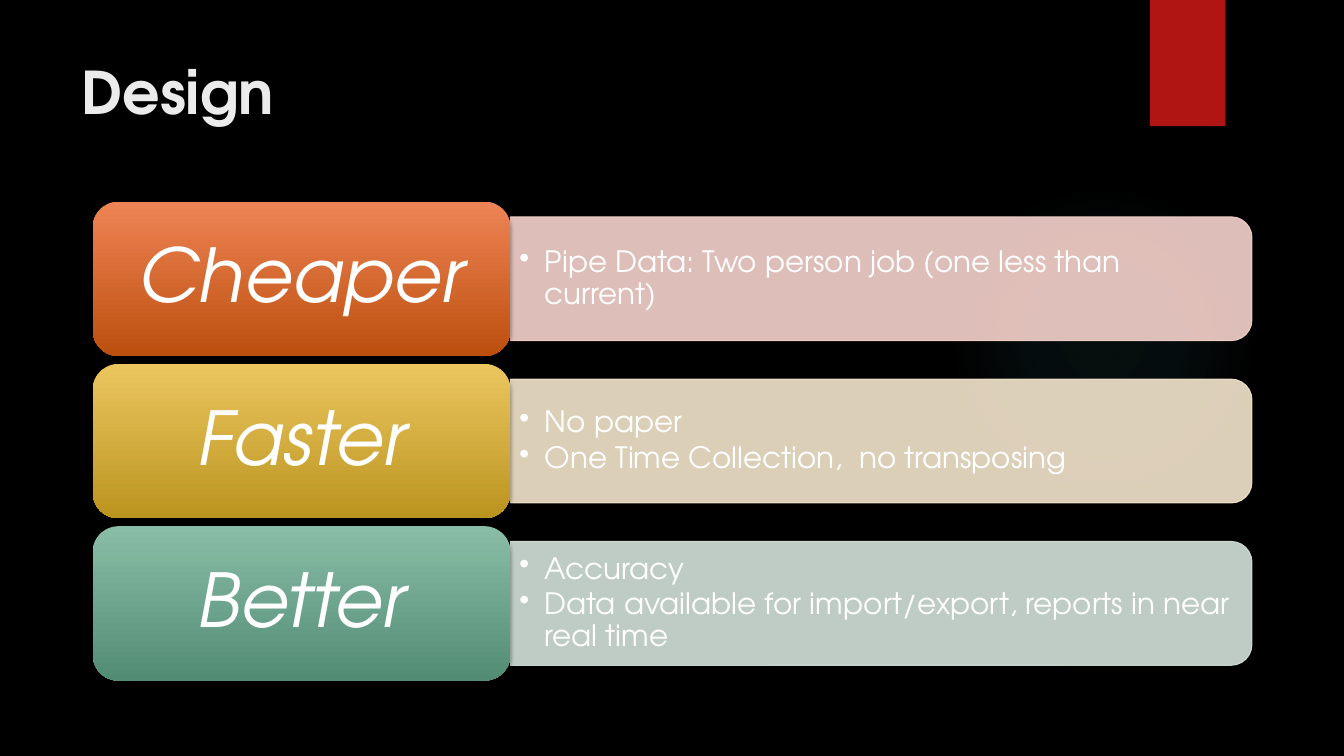
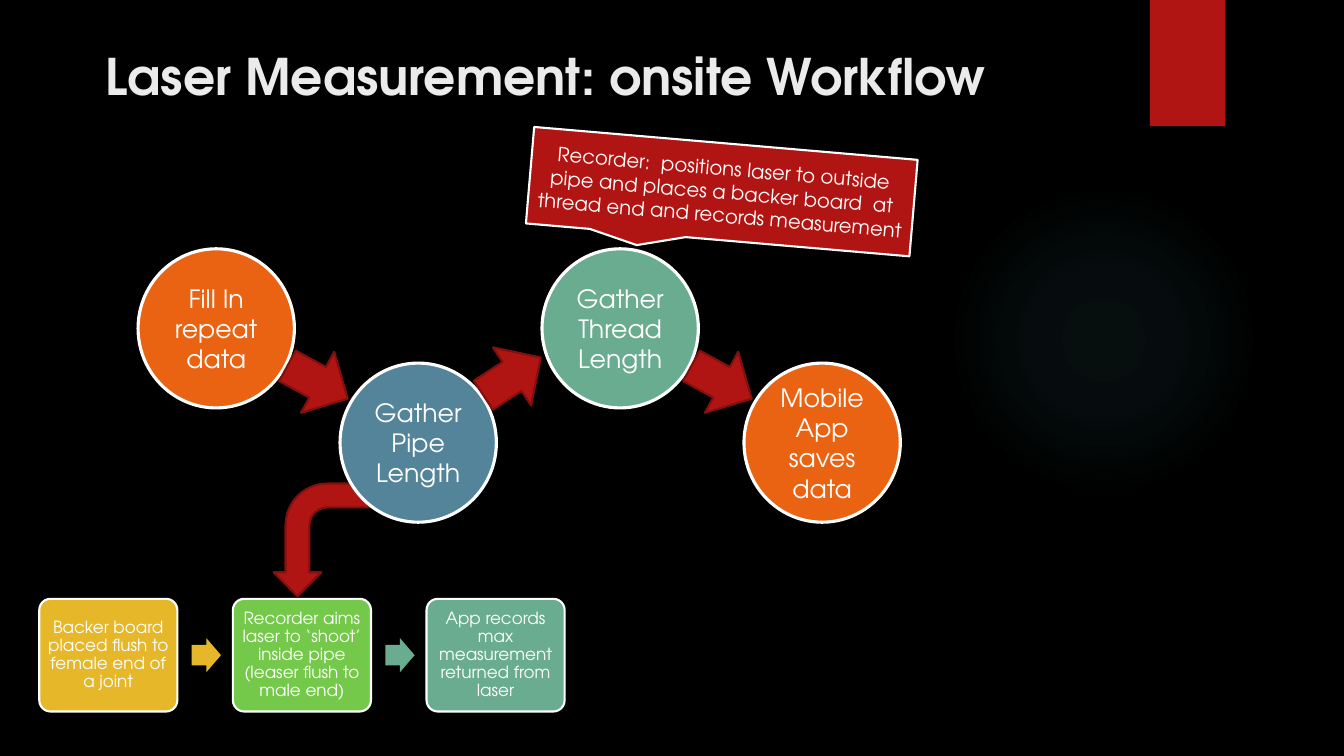
from lxml import etree
from pptx import Presentation
from pptx.dml.color import RGBColor
from pptx.enum.shapes import MSO_SHAPE
from pptx.enum.text import MSO_ANCHOR, PP_ALIGN
from pptx.oxml import parse_xml
from pptx.oxml.ns import nsdecls, qn
from pptx.util import Cm, Pt

LEFT, CENTER = PP_ALIGN.LEFT, PP_ALIGN.CENTER
TOP, MIDDLE = MSO_ANCHOR.TOP, MSO_ANCHOR.MIDDLE
RECTANGLE, OVAL = MSO_SHAPE.RECTANGLE, MSO_SHAPE.OVAL
ROUNDED, ROUNDED_TOP = MSO_SHAPE.ROUNDED_RECTANGLE, MSO_SHAPE.ROUND_2_SAME_RECTANGLE
RIGHT_ARROW, BENT_ARROW = MSO_SHAPE.RIGHT_ARROW, MSO_SHAPE.BENT_ARROW
CALLOUT = MSO_SHAPE.RECTANGULAR_CALLOUT


class Theme:
    font = "TeX Gyre Adventor"
    black, white, title = "000000", "FFFFFF", "EBEBEB"
    red, dark_red, glow = "B01513", "82100E", "50B9C1"
    orange, blue, teal, gold, green = "EA6312", "54849A", "6AAC90", "E6B729", "75C94A"
    card_size, bullet_size, circle_size, callout_size, step_size = 53, 21, 18, 14, 12


def add_block(slide, preset, left, top, width, height, fill, line=None, weight=1.5, rotation=0):
    """Add a flat preset shape; lengths are in centimetres."""
    shape = slide.shapes.add_shape(preset, Cm(left), Cm(top), Cm(width), Cm(height))
    shape.shadow.inherit = False
    shape.rotation = rotation
    shape.fill.solid()
    shape.fill.fore_color.rgb = RGBColor.from_string(fill)
    if line:
        shape.line.color.rgb = RGBColor.from_string(line)
        shape.line.width = Pt(weight)
    else:
        shape.line.fill.background()
    return shape


def write(shape, lines, size, color=Theme.white, align=CENTER, anchor=MIDDLE,
          bold=False, italic=False, spacing=1.0, after=0):
    """Fill a shape with one paragraph per line."""
    frame = shape.text_frame
    frame.word_wrap = True
    frame.vertical_anchor = anchor
    for index, line in enumerate(lines):
        paragraph = frame.add_paragraph() if index else frame.paragraphs[0]
        paragraph.alignment = align
        paragraph.line_spacing = spacing
        paragraph.space_after = Pt(after)
        run = paragraph.add_run()
        run.text = line
        run.font.name = Theme.font
        run.font.size = Pt(size)
        run.font.bold = bold
        run.font.italic = italic
        run.font.color.rgb = RGBColor.from_string(color)
    return frame


presentation = Presentation()
presentation.slide_width, presentation.slide_height = Cm(33.87), Cm(19.05)
background = presentation.slide_master.background.fill
background.solid()
background.fore_color.rgb = RGBColor.from_string(Theme.black)

# Shared frame: glow, red band and title
titles = [
    ("Design", 42, 1.8, 1.27, 26.14, 3.89),
    ("Laser Measurement: onsite Workflow", 36, 2.41, 1.02, 29.21, 2.57),
]
glow_stops = "".join(
    f'<a:gs pos="{position}000"><a:srgbClr val="{Theme.glow}"><a:alpha val="{alpha}000"/></a:srgbClr></a:gs>'
    for position, alpha in [(0, 7), (36, 6), (69, 0)])
glow_fill = (
    f'<a:gradFill {nsdecls("a")}><a:gsLst>{glow_stops}</a:gsLst><a:path path="circle">'
    '<a:fillToRect l="50000" t="50000" r="50000" b="50000"/></a:path></a:gradFill>')
for text, size, left, top, width, height in titles:
    slide = presentation.slides.add_slide(presentation.slide_layouts[6])
    glow = add_block(slide, OVAL, 23.9, 4.65, 7.82, 7.82, Theme.glow)
    properties = glow._element.spPr
    properties.replace(properties.find(qn("a:solidFill")), parse_xml(glow_fill))
    add_block(slide, RECTANGLE, 28.98, 0, 1.9, 3.18, Theme.red)
    title = slide.shapes.add_textbox(Cm(left), Cm(top), Cm(width), Cm(height))
    write(title, [text], size, Theme.title, LEFT, TOP, bold=True)
design, workflow = presentation.slides

# Design: three benefits, each a card with a panel of bullets
benefits = [
    ("Cheaper", "EE8455", "BC4F0E", "F7D3CC",
     ["Pipe Data: Two person job (one less than current)"]),
    ("Faster", "EBC65F", "BB941F", "F5E6CD",
     ["No paper", "One Time Collection,  no transposing"]),
    ("Better", "89BDA7", "538C74", "D4E3DB",
     ["Accuracy", "Data available for import/export, reports in near real time"]),
]
card_left, card_top, card_width, card_height, card_pitch = 2.34, 5.08, 10.52, 3.89, 4.09
panel_width, panel_height, bullets_height = 18.69, 3.12, 2.82
panel_left = card_left + card_width
for row, (name, light, dark, tint, bullets) in enumerate(benefits):
    top = card_top + row * card_pitch
    middle = top + card_height / 2

    # The panel is turned so that its rounded end faces right
    panel = add_block(design, ROUNDED_TOP, panel_left + (panel_width - panel_height) / 2,
                      middle - panel_width / 2, panel_height, panel_width,
                      tint, tint, 0.75, 90)
    for color in panel._element.spPr.iter(qn("a:srgbClr")):
        etree.SubElement(color, qn("a:alpha"), val="90000")
    box = design.shapes.add_textbox(Cm(panel_left), Cm(middle - bullets_height / 2),
                                    Cm(18.54), Cm(bullets_height))
    frame = write(box, bullets, Theme.bullet_size, align=LEFT, spacing=0.9, after=3)
    frame.margin_left = frame.margin_right = Cm(0.23)
    frame.margin_top = frame.margin_bottom = Cm(0.11)
    for paragraph in frame.paragraphs:
        settings = paragraph._p.get_or_add_pPr()
        settings.set("marL", str(Cm(0.64)))
        settings.set("indent", str(Cm(-0.64)))
        etree.SubElement(settings, qn("a:buChar"), char="•")

    card = add_block(design, ROUNDED, card_left, top, card_width, card_height, dark)
    card.fill.gradient()
    card.fill.gradient_angle = 270
    for stop, shade in zip(card.fill.gradient_stops, (light, dark)):
        stop.color.rgb = RGBColor.from_string(shade)
    shadow = etree.SubElement(card._element.spPr.find(qn("a:effectLst")), qn("a:outerShdw"),
                              blurRad=str(Pt(3)), dist=str(Pt(2)), dir="5400000", rotWithShape="0")
    shadow_color = etree.SubElement(shadow, qn("a:srgbClr"), val=Theme.black)
    etree.SubElement(shadow_color, qn("a:alpha"), val="45000")
    write(card, [name], Theme.card_size, italic=True, spacing=0.9)

# Workflow: bent arrow down to the detail steps, behind the circles
bent_arrow = add_block(workflow, BENT_ARROW, 6.68, 12.4, 2.84, 2.41,
                       Theme.red, Theme.dark_red, rotation=270)
bent_arrow._element.spPr.find(qn("a:xfrm")).set("flipH", "1")

# Workflow: main stages in a zigzag
stages = [
    ("Fill In repeat data", Theme.orange),
    ("Gather Pipe Length", Theme.blue),
    ("Gather Thread Length", Theme.teal),
    ("Mobile App saves data", Theme.orange),
]
for index, (text, color) in enumerate(stages):
    circle = add_block(workflow, OVAL, 3.48 + index * 5.09, 9.15 if index % 2 else 6.27,
                       3.94, 4.01, color, Theme.white, 2.25)
    write(circle, [text], Theme.circle_size)

# Workflow: detail steps with an arrow after each but the last
steps = [
    ("Backer board placed flush to female end of a joint", Theme.gold, Theme.gold),
    ("Recorder aims laser to ‘shoot’ inside pipe (leaser flush to male end)",
     Theme.green, Theme.teal),
    ("App records max measurement returned from laser", Theme.teal, None),
]
for index, (text, color, arrow_color) in enumerate(steps):
    left = 0.99 + index * 4.88
    step = add_block(workflow, ROUNDED, left, 15.09, 3.48, 2.84, color, Theme.white)
    step.adjustments[0] = 0.1
    frame = write(step, [text], Theme.step_size, spacing=0.9)
    frame.margin_left = frame.margin_right = Cm(0.13)
    frame.margin_top = frame.margin_bottom = Cm(0.13)
    if arrow_color:
        arrow = add_block(workflow, RIGHT_ARROW, left + 3.84, 16.08, 0.74, 0.86, arrow_color)
        arrow.adjustments[0] = 0.6

# Workflow: tilted callout and the arrows between stages
callout = add_block(workflow, CALLOUT, 13.34, 3.61, 9.7, 2.44,
                    Theme.red, Theme.white, rotation=4.9)
write(callout, ["Recorder:  positions laser to outside pipe and places a backer board  at "
                "thread end and records measurement"], Theme.callout_size)
for left, top, rotation in [(7.14, 8.76, 28.6), (12.04, 8.61, 326.7), (17.32, 8.76, 28.6)]:
    add_block(workflow, RIGHT_ARROW, left, top, 1.73, 1.75,
              Theme.red, Theme.dark_red, rotation=rotation)

presentation.save("out.pptx")
